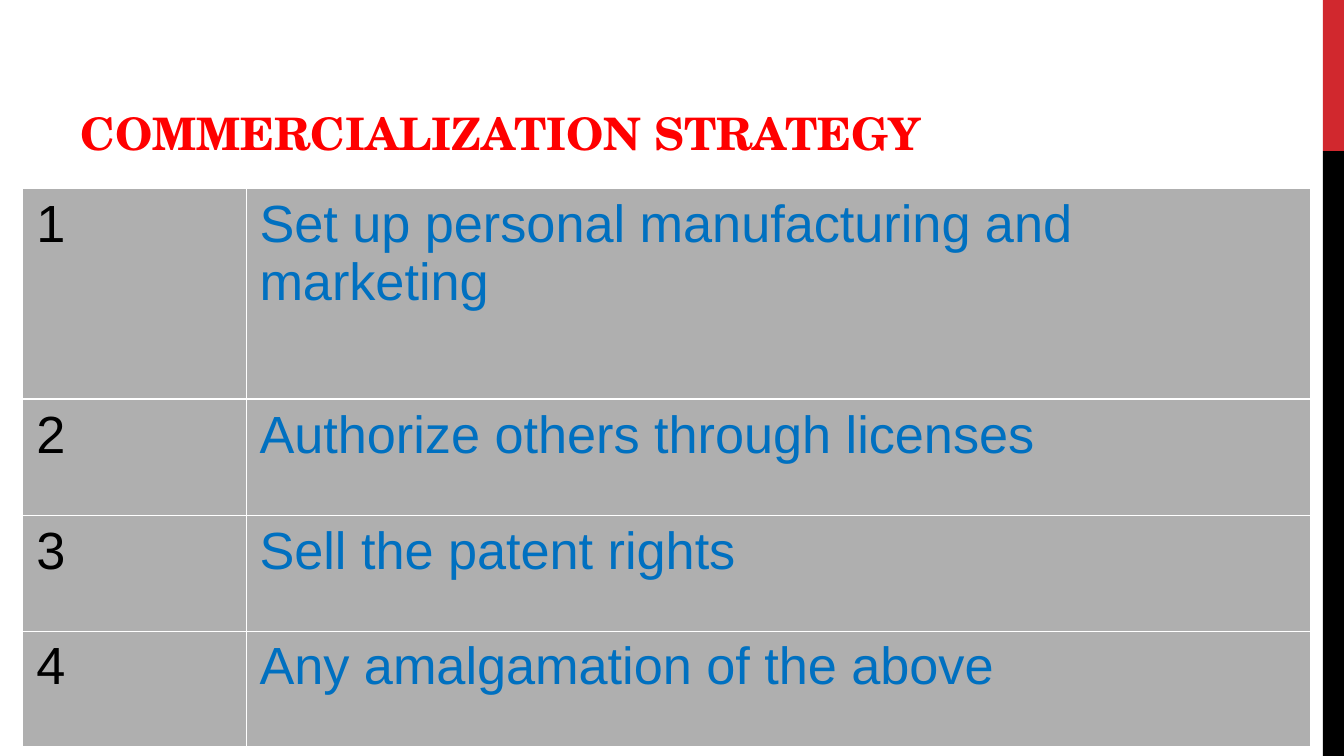
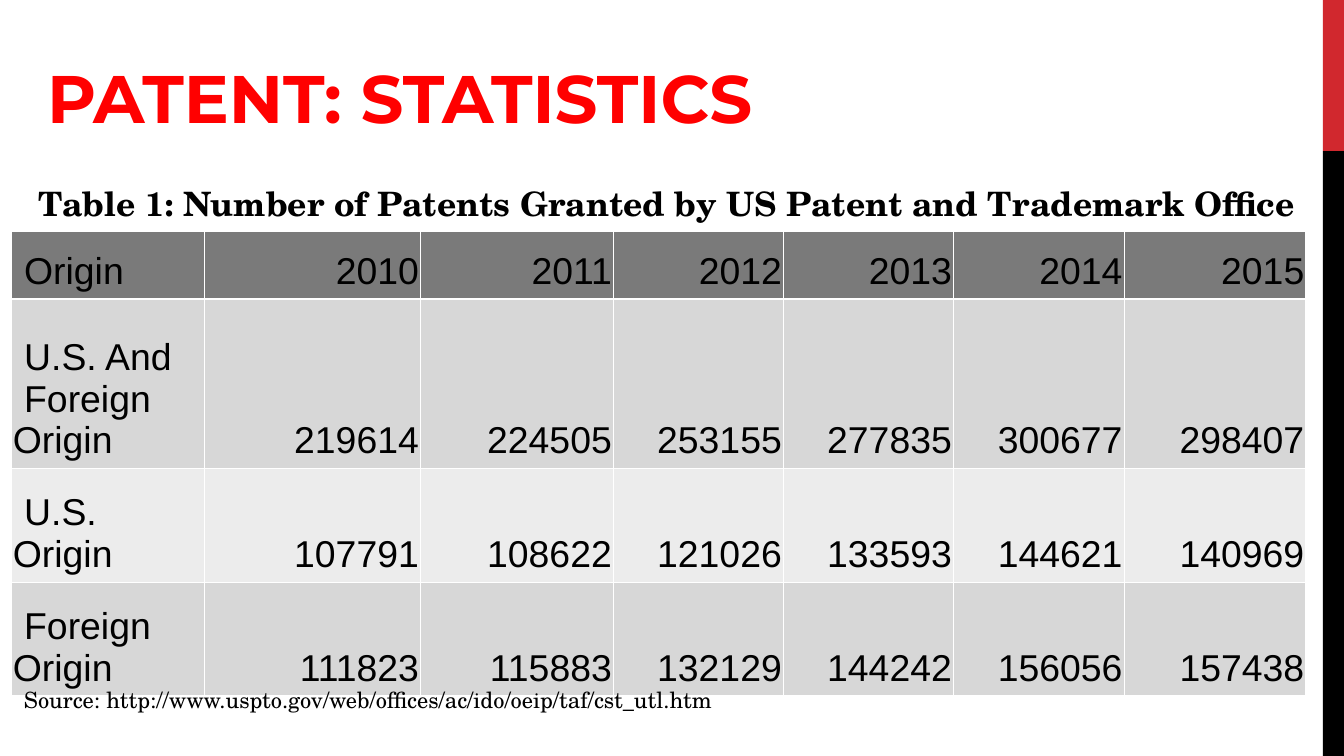
from lxml import etree
from pptx import Presentation
from pptx.dml.color import RGBColor
from pptx.enum import shapes, text
from pptx.oxml import ns
from pptx.util import Pt

# Shared look
RED, BLACK, WHITE, BLUE = "FF0000", "000000", "FFFFFF", "0070C0"
BAND_RED, GREY = "D1282E", "AFAFAF"
HEADER_GREY, DARK_STRIPE, LIGHT_STRIPE = "7A7A7A", "D7D7D7", "ECECEC"
SERIF, SANS, DISPLAY = "TeX Gyre Schola", "Arial", "Montserrat"
THIN, THICK = 0.45, 1.47


def format_text(text_frame, font_name, size, color, bold=False):
    for paragraph in text_frame.paragraphs:
        for run in paragraph.runs:
            run.font.name = font_name
            run.font.size = Pt(size)
            run.font.bold = bold
            run.font.color.rgb = RGBColor.from_string(color)


def style_cell(cell, row, fill):
    """White borders, heavier below the first row, then the fill."""
    properties = cell._tc.get_or_add_tcPr()
    widths = {"L": THIN, "R": THIN, "T": THICK if row == 1 else THIN,
              "B": THICK if row == 0 else THIN}
    for side, width in widths.items():
        line = etree.SubElement(properties, ns.qn(f"a:ln{side}"), w=str(Pt(width)))
        solid = etree.SubElement(line, ns.qn("a:solidFill"))
        etree.SubElement(solid, ns.qn("a:srgbClr"), val=WHITE)
    cell.fill.solid()
    cell.fill.fore_color.rgb = RGBColor.from_string(fill)


presentation = Presentation()
presentation.slide_width, presentation.slide_height = Pt(720), Pt(405)
title_only = presentation.slide_layouts[5]

# Slides with their titles
titles = [
    ("COMMERCIALIZATION STRATEGY", SERIF, 24, (36, 8.64, 635.76, 80.64)),
    ("PATENT: STATISTICS", DISPLAY, 36, (18, 16.56, 606.24, 60.48)),
]
for words, font_name, size, box in titles:
    slide = presentation.slides.add_slide(title_only)
    title = slide.shapes.title
    title.left, title.top, title.width, title.height = map(Pt, box)
    title.text_frame.text = words
    title.text_frame.auto_size = text.MSO_AUTO_SIZE.NONE
    title.text_frame.vertical_anchor = text.MSO_ANCHOR.BOTTOM
    title.text_frame.paragraphs[0].alignment = text.PP_ALIGN.LEFT
    format_text(title.text_frame, font_name, size, RED, bold=True)
strategy_slide, statistics_slide = presentation.slides

# Right-hand bands, moved to the master so that every slide shows them
master_tree = presentation.slide_master.shapes.element
for number, (top, height, color) in enumerate([(0, 81, BAND_RED), (81, 324, BLACK)]):
    band = strategy_slide.shapes.add_shape(
        shapes.MSO_SHAPE.RECTANGLE, Pt(708.75), Pt(top), Pt(11.25), Pt(height))
    band.shadow.inherit = False
    band.fill.solid()
    band.fill.fore_color.rgb = RGBColor.from_string(color)
    band.line.fill.background()
    band.element.nvSpPr.cNvPr.set("id", str(101 + number))
    master_tree.append(band.element)

# Strategy table
strategies = [
    "Set up personal manufacturing and marketing",
    "Authorize others through licenses",
    "Sell the patent rights",
    "Any amalgamation of the above",
]
strategy_table = strategy_slide.shapes.add_table(
    4, 2, Pt(12.24), Pt(100.8), Pt(689.76), Pt(299.4)).table
for column, width in zip(strategy_table.columns, (119.6, 570.16)):
    column.width = Pt(width)
for row, strategy in enumerate(strategies):
    strategy_table.rows[row].height = Pt(113.1 if row == 0 else 62.1)
    for column, (words, color) in enumerate([(str(row + 1), BLACK), (strategy, BLUE)]):
        cell = strategy_table.cell(row, column)
        style_cell(cell, row, GREY)
        cell.text_frame.text = words
        format_text(cell.text_frame, SANS, 28, color)

# Patent statistics table; a line break in a label starts an indented paragraph
statistics = [
    ("Origin", 2010, 2011, 2012, 2013, 2014, 2015),
    ("U.S. And\nForeign Origin", 219614, 224505, 253155, 277835, 300677, 298407),
    ("U.S. Origin", 107791, 108622, 121026, 133593, 144621, 140969),
    ("Foreign Origin", 111823, 115883, 132129, 144242, 156056, 157438),
]
row_fills = [HEADER_GREY, DARK_STRIPE, LIGHT_STRIPE, DARK_STRIPE]
statistics_table = statistics_slide.shapes.add_table(
    4, 7, Pt(6.2), Pt(123.84), Pt(693.4), Pt(248.9)).table
for column, width in zip(statistics_table.columns,
                         (103.3, 115.7, 103.4, 91.1, 91.1, 91.4, 97.4)):
    column.width = Pt(width)
for row, height in enumerate((36.4, 90.7, 60.9, 60.9)):
    statistics_table.rows[row].height = Pt(height)
    for column, value in enumerate(statistics[row]):
        cell = statistics_table.cell(row, column)
        style_cell(cell, row, row_fills[row])
        cell.margin_left = cell.margin_right = Pt(0.75)
        cell.vertical_anchor = text.MSO_ANCHOR.BOTTOM
        cell.text_frame.text = str(value)
        for paragraph in cell.text_frame.paragraphs:
            if column == 0:
                paragraph._p.get_or_add_pPr().set("indent", str(Pt(6)))
            else:
                paragraph.alignment = text.PP_ALIGN.RIGHT
        format_text(cell.text_frame, SANS, 20, BLACK)

# Caption and source
notes = [
    ("Table 1: Number of Patents Granted by US Patent and Trademark Office",
     18, True, (13.68, 94.32, 689.04, 28.8)),
    ("Source: http://www.uspto.gov/web/offices/ac/ido/oeip/taf/cst_utl.htm",
     12, False, (5.76, 364.32, 594, 36)),
]
for words, size, bold, box in notes:
    note = statistics_slide.shapes.add_textbox(*map(Pt, box))
    note.text_frame.word_wrap = not bold
    note.text_frame.text = words
    format_text(note.text_frame, SERIF, size, BLACK, bold)

presentation.save("out.pptx")
